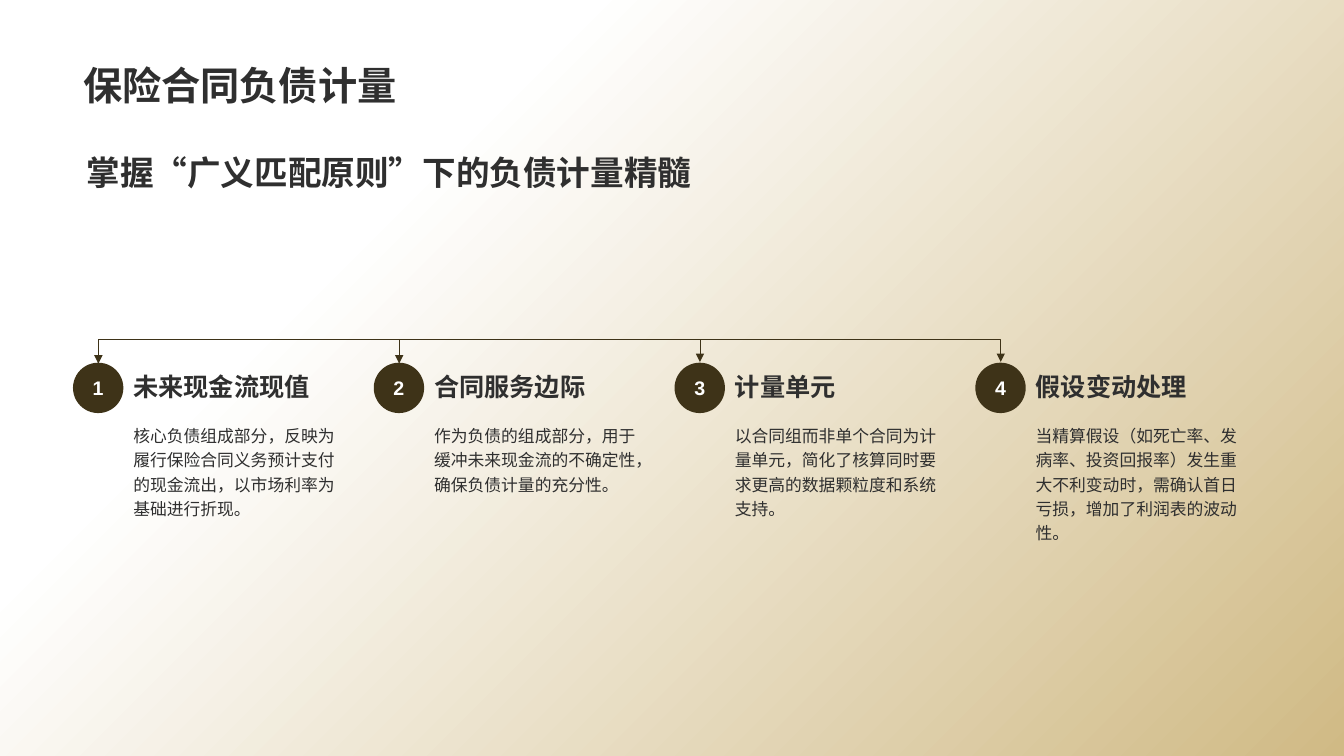
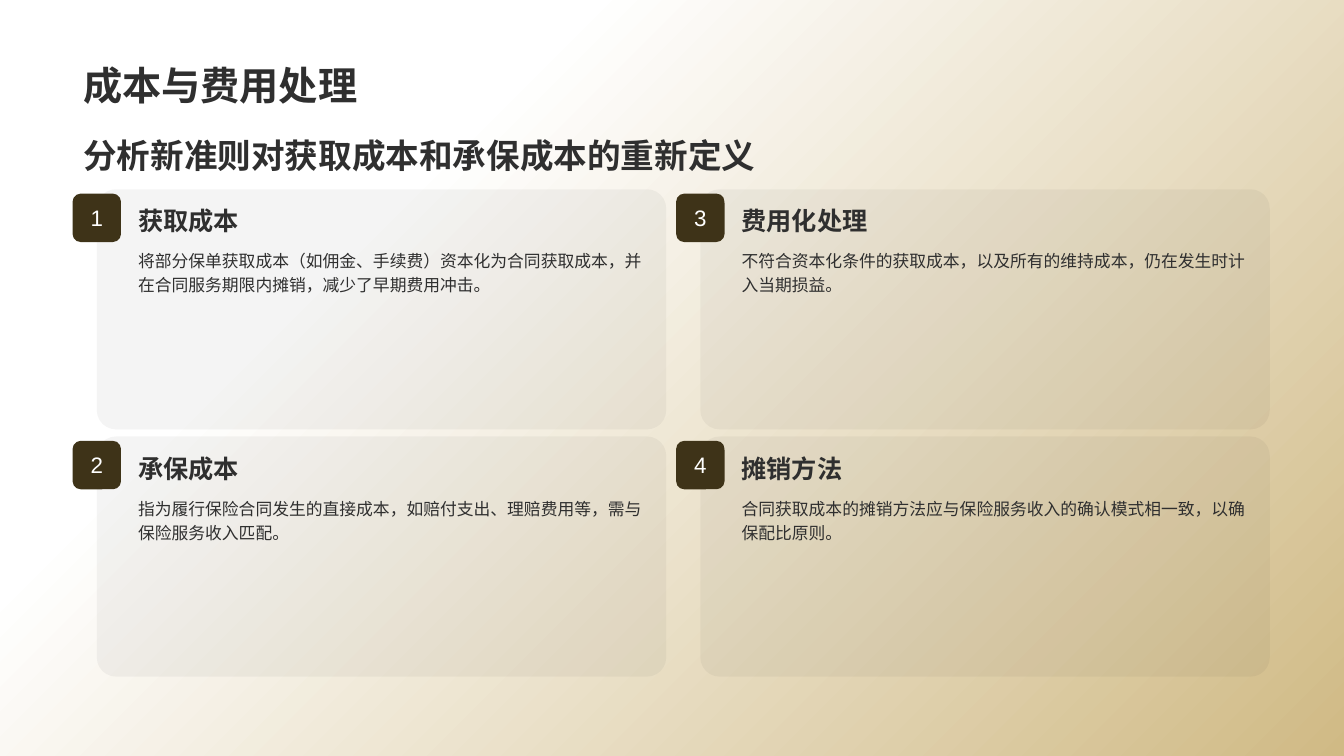
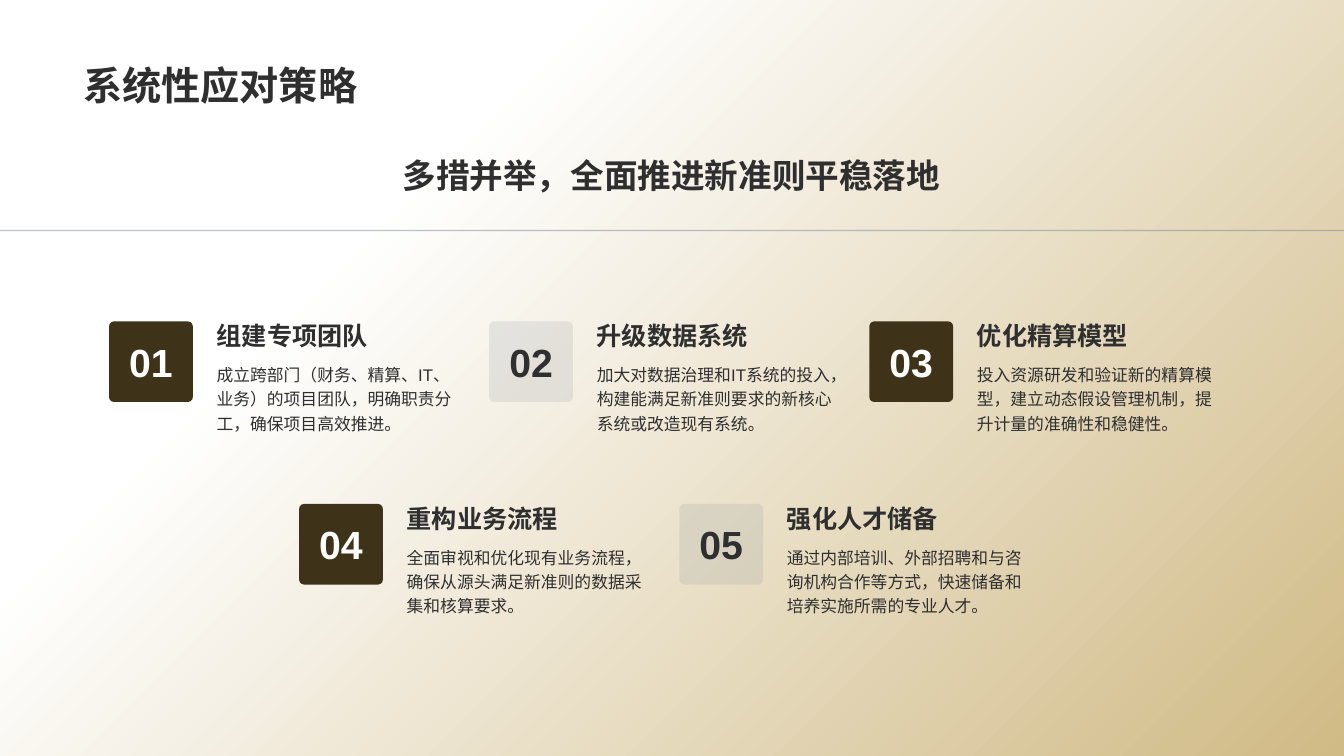
import pptx
import pptx.util
import pptx.dml.color
import pptx.enum.lang
import pptx.enum.shapes
import pptx.enum.text
import pptx.oxml.ns
from lxml import etree

Cm = pptx.util.Cm
Pt = pptx.util.Pt
qn = pptx.oxml.ns.qn
Shape = pptx.enum.shapes.MSO_SHAPE
Link = pptx.enum.shapes.MSO_CONNECTOR
Anchor = pptx.enum.text.MSO_ANCHOR
Align = pptx.enum.text.PP_ALIGN

DARK = "2F2F2F"
BROWN = "3E3318"
GOLD = "D0BA85"
SLATE = "778495"
WHITE = "FFFFFF"
FONT = "Arial"
LEFT = 1.85
WIDE = 30.18
PAGE = 33.87


def color(code):
    return pptx.dml.color.RGBColor.from_string(code)


def fade(item, share):
    tint = item._element.spPr.find(".//" + qn("a:srgbClr"))
    etree.SubElement(tint, qn("a:alpha"), val=str(share * 1000))


def write(item, text, size, ink=DARK, bold=False, anchor=Anchor.TOP,
          align=Align.LEFT, space=1.0, asian=FONT):
    frame = item.text_frame
    frame.word_wrap = True
    frame.vertical_anchor = anchor
    frame.text = text
    para = frame.paragraphs[0]
    para.alignment = align
    para.line_spacing = space
    for run in para.runs:
        font = run.font
        font.name = FONT
        font.size = Pt(size)
        font.bold = bold
        font.color.rgb = color(ink)
        font.language_id = pptx.enum.lang.MSO_LANGUAGE_ID.SIMPLIFIED_CHINESE
        if asian:
            etree.SubElement(run._r.rPr, qn("a:ea"), typeface=asian)


def label(slide, x, y, w, h, text, size, **style):
    box = slide.shapes.add_textbox(Cm(x), Cm(y), Cm(w), Cm(h))
    write(box, text, size, **style)


def block(slide, kind, x, y, w, h, fill=None, curve=None, alpha=None):
    item = slide.shapes.add_shape(kind, Cm(x), Cm(y), Cm(w), Cm(h))
    item.shadow.inherit = False
    if fill:
        item.fill.solid()
        item.fill.fore_color.rgb = color(fill)
    else:
        item.fill.background()
    item.line.fill.background()
    if curve is not None:
        item.adjustments[0] = curve
    if alpha:
        fade(item, alpha)
    return item


def badge(item, text, size, ink=WHITE, bold=True):
    write(item, text, size, ink=ink, bold=bold, anchor=Anchor.MIDDLE,
          align=Align.CENTER)


def rule(slide, kind, x1, y1, x2, y2, ink, width, alpha=None, tips=()):
    line = slide.shapes.add_connector(kind, Cm(x1), Cm(y1), Cm(x2), Cm(y2))
    line.line.color.rgb = color(ink)
    line.line.width = Pt(width)
    if alpha:
        fade(line, alpha)
    for tip in tips:
        etree.SubElement(line.line._get_or_add_ln(), qn(tip), type="triangle")
    etree.SubElement(line._element.spPr, qn("a:effectLst"))
    return line


def bridge(slide, x1, x2, y, rise):
    thin, half, mid = 0.04, (x2 - x1) / 2, (x1 + x2) / 2
    line = rule(slide, Link.ELBOW, mid - thin / 2, y - half, mid + thin / 2,
                y + half, BROWN, 0.5, tips=("a:headEnd", "a:tailEnd"))
    frame = line._element.spPr.find(qn("a:xfrm"))
    for key, value in (("rot", "16200000"), ("flipH", "0"), ("flipV", "0")):
        frame.set(key, value)
    bends = line._element.spPr.find(".//" + qn("a:avLst"))
    etree.SubElement(bends, qn("a:gd"), name="adj1",
                     fmla=f"val {round(rise / thin * 100000)}")


def paint(deck):
    fill = deck.slide_master.background.fill
    fill.gradient()
    fill.gradient_angle = 135
    for stop, code, place in zip(fill.gradient_stops, (GOLD, WHITE), (0, 0.72)):
        stop.color.rgb = color(code)
        stop.position = place


def page(deck, title):
    slide = deck.slides.add_slide(deck.slide_layouts[6])
    label(slide, LEFT, 0.36, WIDE, 2.49, title, 28, bold=True,
          anchor=Anchor.BOTTOM)
    return slide


def lead(slide, x, y, h, text, **style):
    label(slide, x, y, WIDE, h, text, 24, bold=True, **style)


def topic(slide, x, y, w, cap, high, head, body, gap=0,
          anchor=Anchor.MIDDLE, space=1.2):
    label(slide, x, y, w, cap, head, 18, bold=True, anchor=anchor, space=space)
    label(slide, x, y + cap + gap, w, high, body, 12, space=1.2)


def step(slide, x, y, mark, head, body):
    size = 1.27
    topic(slide, x + size, y - 0.08, 5.97, 1.22, 6.5, head, body, gap=0.23)
    badge(block(slide, Shape.OVAL, x, y, size, size, BROWN), mark, 14)


def card(slide, x, y, mark, head, body):
    block(slide, Shape.ROUNDED_RECTANGLE, x, y, 14.35, 6.05, DARK, 0.08, 5)
    topic(slide, x + 0.79, y + 0.11, 13.41, 1.22, 4.42, head, body)
    tag = block(slide, Shape.ROUNDED_RECTANGLE, x - 0.61, y + 0.11, 1.22, 1.22,
                BROWN)
    badge(tag, mark, 16, bold=False)


def action(slide, x, y, mark, head, body, pale):
    fill, ink, alpha = (SLATE, DARK, 15) if pale else (BROWN, WHITE, None)
    tile = block(slide, Shape.ROUNDED_RECTANGLE, x, y, 2.11, 2.03, fill, 0.06,
                 alpha)
    badge(tile, mark, 28, ink=ink)
    topic(slide, x + 2.46, y - 0.49, 6.78, 1.36, 2.62, head, body,
          anchor=Anchor.BOTTOM, space=1.0)


def debts(deck):
    slide = page(deck, "保险合同负债计量")
    band = block(slide, Shape.ROUNDED_RECTANGLE, 1.83, 3.15, WIDE, 2.36,
                 curve=0.15)
    write(band, "掌握“广义匹配原则”下的负债计量精髓", 24, bold=True,
          anchor=Anchor.MIDDLE, asian=None)
    steps = [
        ("未来现金流现值",
         "核心负债组成部分，反映为履行保险合同义务预计支付的现金流出，以市场利率为基础进行折现。"),
        ("合同服务边际",
         "作为负债的组成部分，用于缓冲未来现金流的不确定性，确保负债计量的充分性。"),
        ("计量单元",
         "以合同组而非单个合同为计量单元，简化了核算同时要求更高的数据颗粒度和系统支持。"),
        ("假设变动处理",
         "当精算假设（如死亡率、发病率、投资回报率）发生重大不利变动时，需确认首日亏损，增加了利润表的波动性。"),
    ]
    left, top, gap = 1.84, 9.14, 7.58
    for i, (head, body) in enumerate(steps):
        step(slide, left + i * gap, top, str(i + 1), head, body)
    for a, b in ((0, 3), (1, 2)):
        bridge(slide, left + 0.64 + a * gap, left + 0.64 + b * gap, top, 0.62)


def costs(deck):
    slide = page(deck, "成本与费用处理")
    lead(slide, LEFT, 3.15, 1.52, "分析新准则对获取成本和承保成本的重新定义",
         anchor=Anchor.MIDDLE)
    cards = [
        ("获取成本",
         "将部分保单获取成本（如佣金、手续费）资本化为合同获取成本，并在合同服务期限内摊销，减少了早期费用冲击。"),
        ("承保成本",
         "指为履行保险合同发生的直接成本，如赔付支出、理赔费用等，需与保险服务收入匹配。"),
        ("费用化处理",
         "不符合资本化条件的获取成本，以及所有的维持成本，仍在发生时计入当期损益。"),
        ("摊销方法",
         "合同获取成本的摊销方法应与保险服务收入的确认模式相一致，以确保配比原则。"),
    ]
    for i, (head, body) in enumerate(cards):
        col, row = divmod(i, 2)
        card(slide, 2.44 + col * 15.21, 4.77 + row * 6.23, str(i + 1), head,
             body)


def plans(deck):
    slide = page(deck, "系统性应对策略")
    rule(slide, Link.STRAIGHT, 0, 5.81, PAGE, 5.81, SLATE, 1, alpha=50)
    lead(slide, 1.83, 3.78, 1.7, "多措并举，全面推进新准则平稳落地",
         align=Align.CENTER)
    plan = [
        ("组建专项团队",
         "成立跨部门（财务、精算、IT、业务）的项目团队，明确职责分工，确保项目高效推进。"),
        ("升级数据系统",
         "加大对数据治理和IT系统的投入，构建能满足新准则要求的新核心系统或改造现有系统。"),
        ("优化精算模型",
         "投入资源研发和验证新的精算模型，建立动态假设管理机制，提升计量的准确性和稳健性。"),
        ("重构业务流程",
         "全面审视和优化现有业务流程，确保从源头满足新准则的数据采集和核算要求。"),
        ("强化人才储备",
         "通过内部培训、外部招聘和与咨询机构合作等方式，快速储备和培养实施所需的专业人才。"),
    ]
    gap = 9.58
    for i, (head, body) in enumerate(plan):
        row, col = divmod(i, 3)
        action(slide, 2.75 + (col + row / 2) * gap, 8.1 + row * 4.6,
               f"{i + 1:02}", head, body, pale=col == 1)


def main():
    deck = pptx.Presentation()
    deck.slide_width = Cm(PAGE)
    deck.slide_height = Cm(19.05)
    paint(deck)
    debts(deck)
    costs(deck)
    plans(deck)
    deck.save("out.pptx")


if __name__ == "__main__":
    main()
